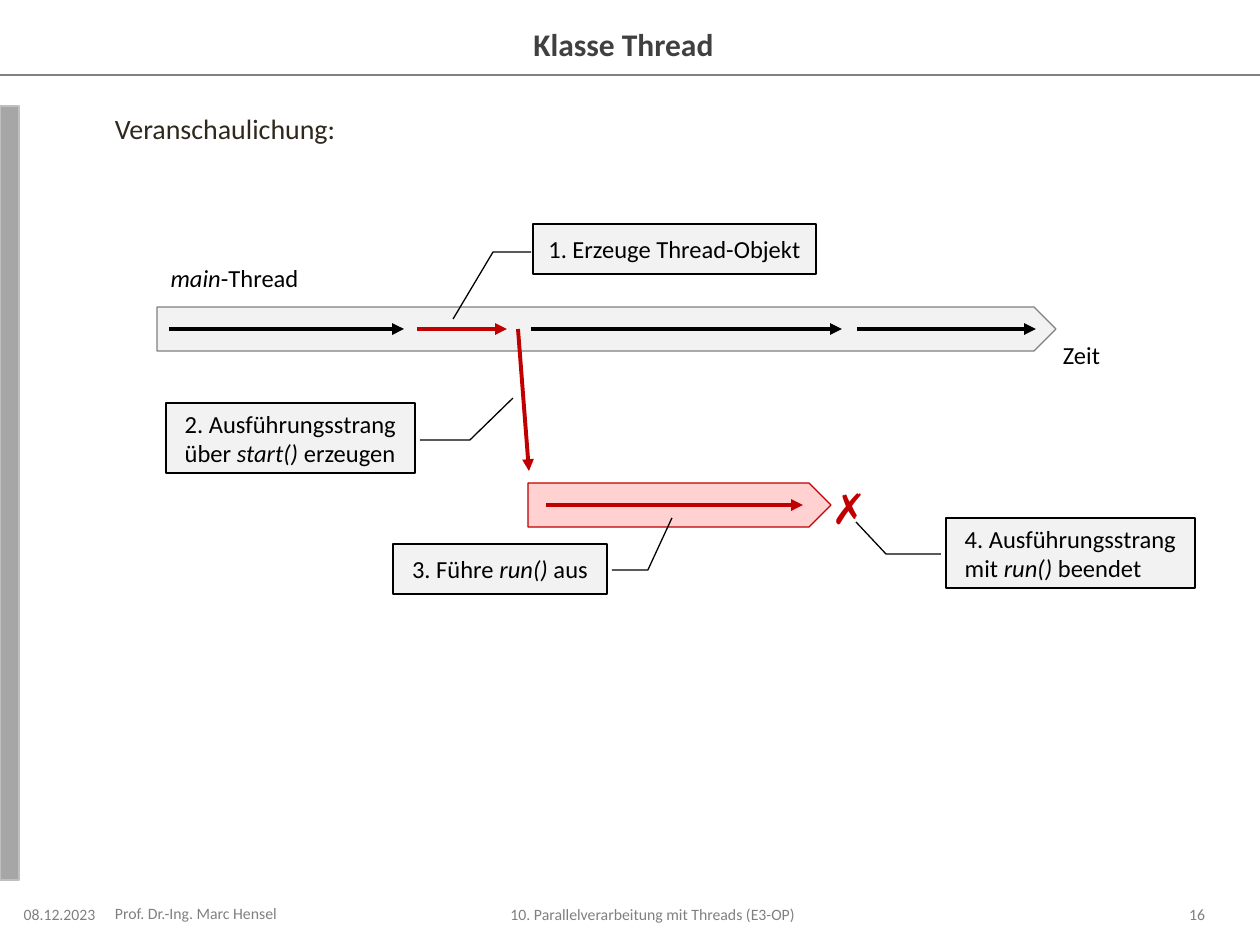
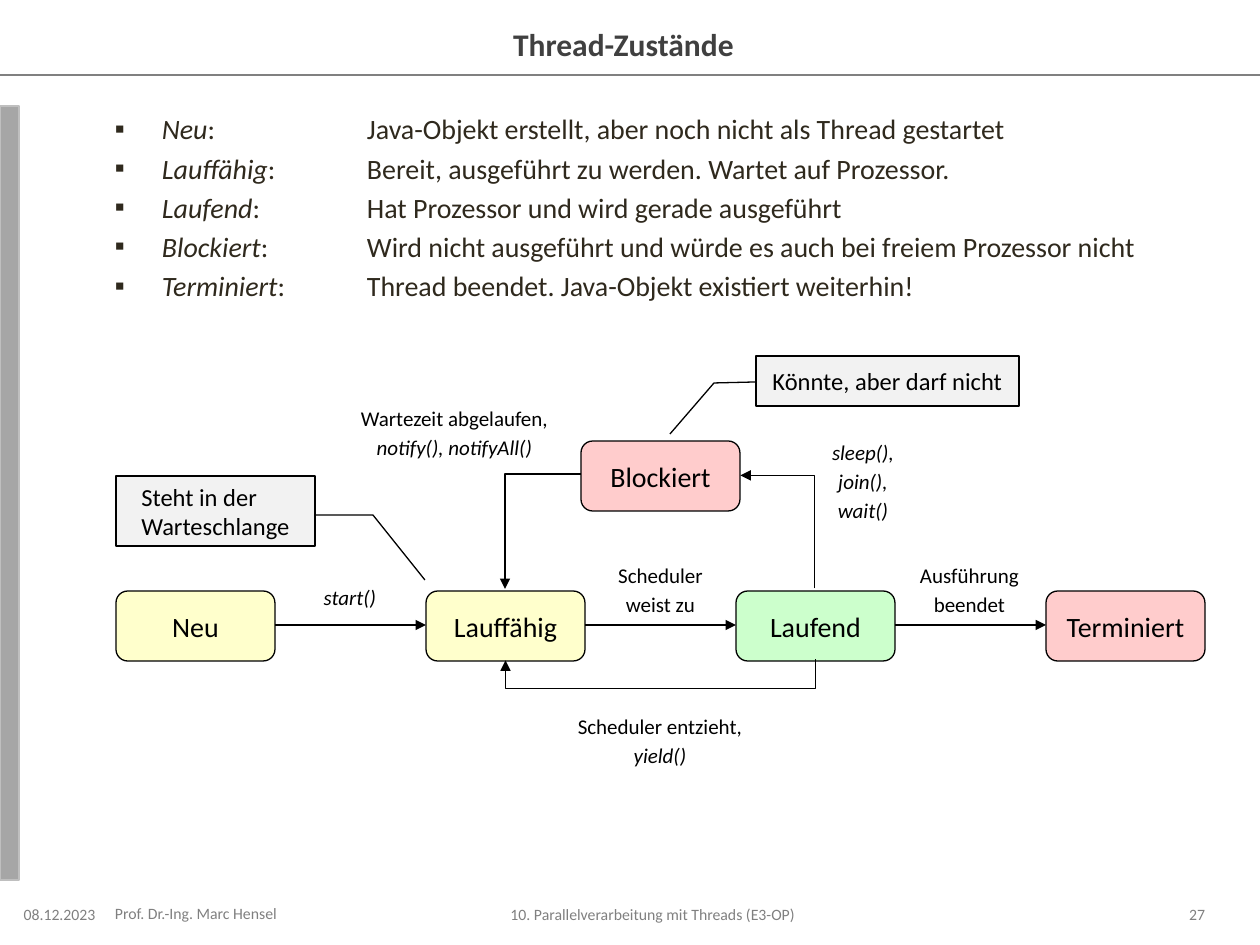
from dataclasses import dataclass
from typing import Any

from lxml import etree
from pptx import Presentation
from pptx.dml.color import RGBColor
from pptx.enum.shapes import MSO_CONNECTOR, MSO_SHAPE
from pptx.enum.text import MSO_ANCHOR, MSO_AUTO_SIZE, PP_ALIGN
from pptx.oxml.ns import qn
from pptx.util import Emu, Pt

STRAIGHT, ELBOW = MSO_CONNECTOR.STRAIGHT, MSO_CONNECTOR.ELBOW
RECTANGLE, ROUNDED = MSO_SHAPE.RECTANGLE, MSO_SHAPE.ROUNDED_RECTANGLE
BAND, CALLOUT = MSO_SHAPE.PENTAGON, MSO_SHAPE.LINE_CALLOUT_2
LEFT, CENTER, RIGHT = PP_ALIGN.LEFT, PP_ALIGN.CENTER, PP_ALIGN.RIGHT
TOP, MIDDLE = MSO_ANCHOR.TOP, MSO_ANCHOR.MIDDLE
NO_FIT = MSO_AUTO_SIZE.NONE

PX_PER_INCH = 126
FONT = "Calibri"
COLORS = {
    "black": "000000", "title": "404040", "body": "2F291D", "grey": "808080",
    "bar": "A6A6A6", "bar edge": "BFBFBF", "note": "F2F2F2", "red": "C00000",
    "run band": "FFD1D1", "waiting": "FFFFCC", "running": "CCFFCC", "stopped": "FFCCCC",
}


def px(length):
    """Turn pixels into EMU."""
    return Emu(round(length * 914400 / PX_PER_INCH))


def rgb(name):
    """Look up a colour by name."""
    return RGBColor.from_string(COLORS[name])


@dataclass
class Area:
    """A region of a slide whose parts are placed from its top left corner."""
    page: Any
    left: int
    top: int

    def point(self, x, y):
        """Give a point of the region in slide EMU."""
        return px(self.left + x), px(self.top + y)

    def box(self, left, top, width, height):
        """Give a box of the region in slide EMU."""
        return *self.point(left, top), px(width), px(height)


def write(frame, lines, size, color="black", align=LEFT, anchor=TOP, font=FONT, bold=False):
    """Fill a frame with lines, where asterisks enclose italic spans."""
    frame.vertical_anchor = anchor
    for index, line in enumerate(lines):
        para = frame.add_paragraph() if index else frame.paragraphs[0]
        para.alignment = align
        para.space_before = Pt(size * 0.2 if index else 0)
        for part, text in enumerate(line.split("*")):
            if text:
                span = para.add_run()
                span.text = text
                span.font.name, span.font.size = font, Pt(size)
                span.font.bold, span.font.italic = bold, part % 2 == 1
                span.font.color.rgb = rgb(color)


def set_insets(frame, left, right):
    """Set the side insets of a frame in px and the common ones above and below."""
    frame.margin_left, frame.margin_right = px(left), px(right)
    frame.margin_top = frame.margin_bottom = px(6)


def add_label(area, box, lines, size, color="black", **style):
    """Add centred text that does not wrap."""
    frame = area.page.shapes.add_textbox(*area.box(*box)).text_frame
    frame.word_wrap = False
    write(frame, lines, size, color, CENTER, **style)


def add_block(area, kind, box, fill, edge="black"):
    """Add a filled preset shape with a thin outline."""
    block = area.page.shapes.add_shape(kind, *area.box(*box))
    block.shadow.inherit = False
    block.fill.solid()
    block.fill.fore_color.rgb = rgb(fill)
    block.line.color.rgb = rgb(edge)
    block.line.width = Pt(0.75)
    return block


def add_callout(area, box, leader, text):
    """Add a note whose leader line runs through three points of the region."""
    left, top, width, height = box
    note = add_block(area, CALLOUT, box, "note")
    for index, (x, y) in enumerate(leader):
        note.adjustments[2 * index] = (y - top) / height
        note.adjustments[2 * index + 1] = (x - left) / width
    note.text_frame.word_wrap = True
    write(note.text_frame, [text], 14, anchor=MIDDLE)
    note.text_frame._txBody.find(qn("a:bodyPr")).set("anchorCtr", "1")


def add_line(area, start, end, color="black", width=0.75, arrow=True, kind=STRAIGHT):
    """Add a connector, by default with an arrowhead at its end."""
    line = area.page.shapes.add_connector(kind, *area.point(*start), *area.point(*end))
    line.line.color.rgb = rgb(color)
    line.line.width = Pt(width)
    properties = line._element.spPr
    if arrow:
        etree.SubElement(properties.find(qn("a:ln")), qn("a:tailEnd"), type="triangle")
    etree.SubElement(properties, qn("a:effectLst"))
    return line


def add_elbow(area, start, end, turn, bend=None):
    """Add a bent arrow turned by degrees, with one corner unless a bend is given."""
    properties = add_line(area, start, end, kind=ELBOW)._element.spPr
    properties.find(qn("a:xfrm")).set("rot", str(turn * 60000))
    geometry = properties.find(qn("a:prstGeom"))
    if bend is None:
        geometry.set("prst", "bentConnector2")
    else:
        guides = geometry.find(qn("a:avLst"))
        etree.SubElement(guides, qn("a:gd"), name="adj1", fmla=f"val {bend * 100000}")


def add_footer(area, number):
    """Add date, author, lecture and page number."""
    entries = [
        ((0, 0, 94, 20), "08.12.2023", CENTER),
        ((96, 0, 189, 19), "Prof. Dr.-Ing. Marc Hensel", LEFT),
        ((293, 1, 694, 19), "10. Parallelverarbeitung mit Threads (E3-OP)", CENTER),
        ((1105, 1, 81, 19), number, RIGHT),
    ]
    for box, text, align in entries:
        frame = area.page.shapes.add_textbox(*area.box(*box)).text_frame
        frame.word_wrap = True
        set_insets(frame, *((13, 0) if align == RIGHT else (0, 13)))
        write(frame, [text], 9, "grey", align, MIDDLE)


def fill_placeholder(holder, box, lines, size, color, **style):
    """Move a placeholder and fill it with formatted lines."""
    holder.left, holder.top, holder.width, holder.height = box
    frame = holder.text_frame
    frame.auto_size = NO_FIT
    frame.word_wrap = True
    set_insets(frame, 0, 13)
    write(frame, lines, size, color, **style)


def set_bullets(frame, bullet):
    """Give every paragraph a square bullet, or none, and one-inch tab steps."""
    indent = px(47) if bullet else 0
    for para in frame.paragraphs:
        settings = para._p.get_or_add_pPr()
        settings.set("marL", str(indent))
        settings.set("indent", str(-indent))
        settings.set("defTabSz", str(px(PX_PER_INCH)))
        if bullet:
            etree.SubElement(settings, qn("a:buFont"), typeface=FONT)
            etree.SubElement(settings, qn("a:buChar"), char="▪")
        else:
            etree.SubElement(settings, qn("a:buNone"))


def add_page(deck, title, lines, number, bullet):
    """Add a slide with the shared frame, title, body text and footer."""
    page = deck.slides.add_slide(deck.slide_layouts[1])
    area = Area(page, 0, 0)
    add_line(area, (0, 75), (1260, 75), "grey", arrow=False)
    add_block(area, RECTANGLE, (0, 106, 19, 774), "bar", "bar edge")
    fill_placeholder(page.shapes.title, area.box(156, 19, 948, 49), [title], 18, "title",
                     align=CENTER, anchor=MIDDLE, bold=True)
    body = page.placeholders[1]
    fill_placeholder(body, area.box(115, 106, 1091, 774), lines, 16, "body")
    set_bullets(body.text_frame, bullet)
    add_footer(Area(page, 19, 904), number)
    return page


def draw_timeline(area):
    """Draw the main thread, the started thread and the notes on their steps."""
    add_block(area, BAND, (0, 83, 899, 44), "note", "grey")
    add_block(area, BAND, (371, 259, 303, 44), "run band", "red")
    add_label(area, (0, 33, 155, 43), ["*main*-Thread"], 14)
    add_label(area, (893, 110, 63, 43), ["Zeit"], 14)
    add_label(area, (662, 252, 53, 63), ["✗"], 24, "red", font="Karla", bold=True)
    steps = [
        ((12, 105), (247, 105), "black"),
        ((260, 105), (350, 105), "red"),
        ((374, 105), (685, 105), "black"),
        ((700, 105), (879, 105), "black"),
        ((361, 105), (372, 247), "red"),
        ((389, 281), (646, 281), "red"),
    ]
    for start, end, color in steps:
        add_line(area, start, end, color, 2.25)
    notes = [
        ((376, 0, 283, 50), [(374, 28), (336, 28), (296, 95)], "1. Erzeuge Thread-Objekt"),
        ((9, 179, 249, 70), [(263, 216), (313, 216), (356, 174)],
         "2. Ausführungsstrang über *start()* erzeugen"),
        ((236, 320, 214, 50), [(455, 346), (491, 346), (515, 294)], "3. Führe *run()* aus"),
        ((789, 294, 249, 70), [(784, 330), (729, 330), (699, 298)],
         "4. Ausführungsstrang mit *run()* beendet"),
    ]
    for note in notes:
        add_callout(area, *note)


def draw_states(area):
    """Draw the thread states, their transitions and two notes."""
    width, height, pitch, row = 159, 70, 310, 235
    states = [
        ("Neu", 0, row, "waiting"),
        ("Lauffähig", pitch, row, "waiting"),
        ("Laufend", 2 * pitch, row, "running"),
        ("Terminiert", 3 * pitch, row, "stopped"),
        ("Blockiert", 465, 85, "stopped"),
    ]
    for name, left, top, fill in states:
        state = add_block(area, ROUNDED, (left, top, width, height), fill)
        write(state.text_frame, [name], 16, align=CENTER, anchor=MIDDLE)
    for left in range(0, 3 * pitch, pitch):
        add_line(area, (left + width, 269), (left + pitch, 269))
    add_elbow(area, (544, 149), (545, 459), 90, bend=29)
    add_elbow(area, (605, 213), (718, 139), 270)
    add_elbow(area, (389, 233), (465, 118), 180)
    transitions = [
        ((195, 222, 78, 38), ["*start()*"]),
        ((489, 200, 111, 69), ["Scheduler", "weist zu"]),
        ((791, 200, 125, 69), ["Ausführung", "beendet"]),
        ((448, 351, 192, 69), ["Scheduler entzieht,", "*yield()*"]),
        ((703, 77, 88, 100), ["*sleep(),*", "*join(),*", "*wait()*"]),
        ((230, 43, 217, 69), ["Wartezeit abgelaufen,", "*notify(), notifyAll()*"]),
    ]
    for box, lines in transitions:
        add_label(area, box, lines, 12)
    add_callout(area, (0, 120, 199, 70), [(200, 159), (257, 159), (309, 224)],
                "Steht in der Warteschlange")
    add_callout(area, (640, 0, 263, 50), [(639, 26), (598, 27), (554, 78)],
                "Könnte, aber darf nicht")


def main():
    """Build both slides and save the deck."""
    deck = Presentation()
    deck.slide_width, deck.slide_height = px(1260), px(945)
    page = add_page(deck, "Klasse Thread", ["Veranschaulichung:"], "16", bullet=False)
    draw_timeline(Area(page, 157, 224))
    meanings = [
        "*Neu*:\t\tJava-Objekt erstellt, aber noch nicht als Thread gestartet",
        "*Lauffähig*:\tBereit, ausgeführt zu werden. Wartet auf Prozessor.",
        "*Laufend*:\tHat Prozessor und wird gerade ausgeführt",
        "*Blockiert*:\tWird nicht ausgeführt und würde es auch bei freiem Prozessor nicht",
        "*Terminiert*:\tThread beendet. Java-Objekt existiert weiterhin!",
    ]
    page = add_page(deck, "Thread-Zustände", meanings, "27", bullet=True)
    draw_states(Area(page, 116, 356))
    deck.save("out.pptx")


if __name__ == "__main__":
    main()
